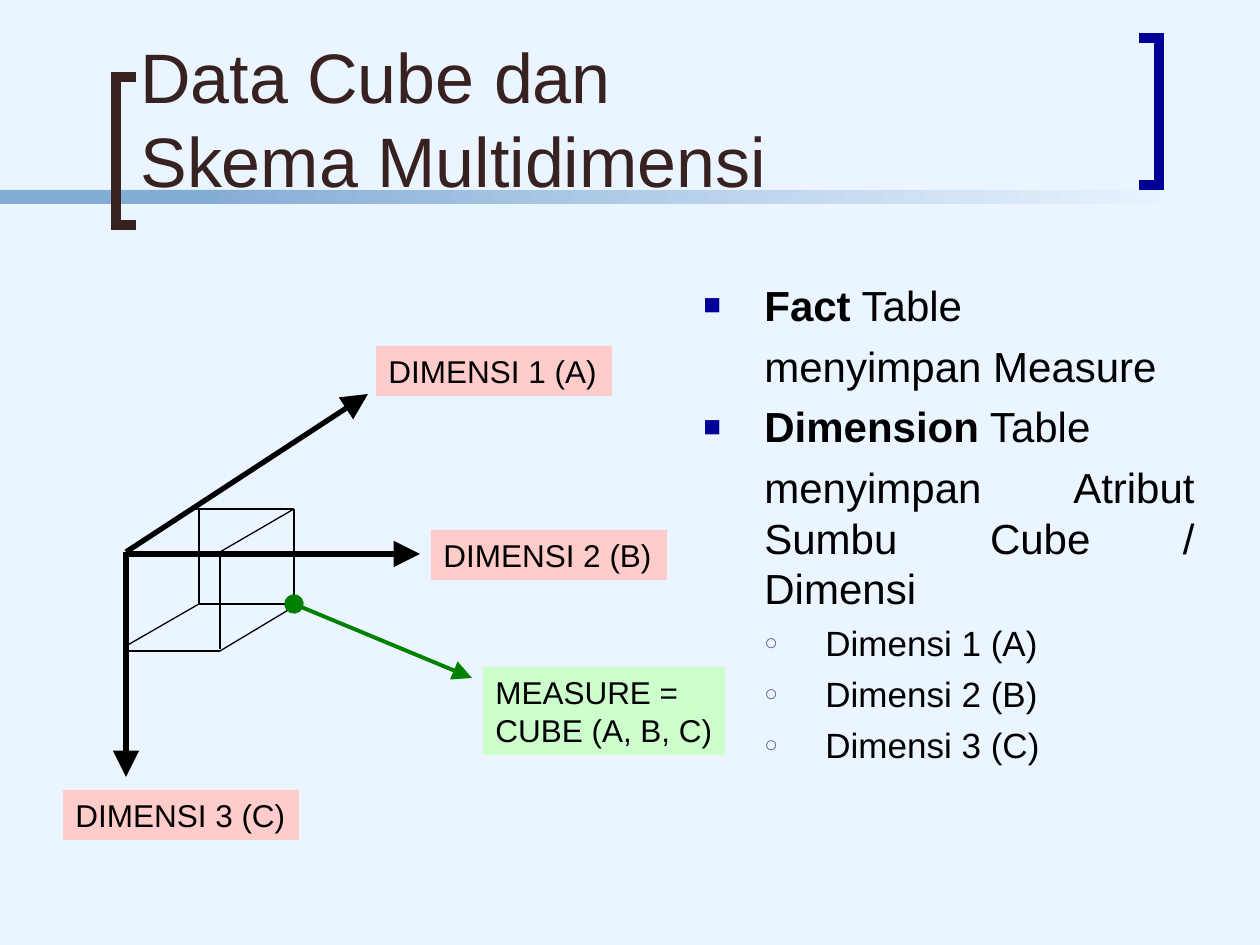
import pptx
import pptx.util
import pptx.dml.color
import pptx.enum.shapes
import pptx.enum.text
import pptx.oxml.ns
import lxml.etree

PX = 914400 / 126
INK = {
    "back": "EBF5FF", "bar": "84ADD6", "title": "372221", "navy": "000099",
    "slate": "666699", "black": "000000", "pink": "FFCCCC", "mint": "CCFFCC",
    "green": "008000",
}
ALIGN = pptx.enum.text.PP_ALIGN
RECT = pptx.enum.shapes.MSO_SHAPE.RECTANGLE


def emu(*nums):
    return [pptx.util.Emu(round(n * PX)) for n in nums]


def tint(name):
    return pptx.dml.color.RGBColor.from_string(INK[name])


def apply(item, vals):
    for key, val in vals.items():
        setattr(item, key, val)


def node(root, tag, **vals):
    return lxml.etree.SubElement(root, pptx.oxml.ns.qn("a:" + tag), vals)


class Deck:
    """Hold the style and the current slide, and draw each kind of element."""

    def __init__(self, font):
        self.font = font
        self.show = pptx.Presentation()
        wide, high = emu(1260, 945)
        apply(self.show, {"slide_width": wide, "slide_height": high})
        self.slide = self.show.slides.add_slide(self.show.slide_layouts[6])
        self.shapes = self.slide.shapes
        fill = self.slide.background.fill
        fill.solid()
        fill.fore_color.rgb = tint("back")

    def rect(self, box, ink):
        shape = self.shapes.add_shape(RECT, *emu(*box))
        shape.shadow.inherit = False
        shape.fill.solid()
        shape.fill.fore_color.rgb = tint(ink)
        shape.line.fill.background()
        return shape

    def fade(self, box, first, last):
        fill = self.rect(box, first).fill
        fill.gradient()
        fill.gradient_angle = 180
        for stop, ink in zip(fill.gradient_stops, (first, last)):
            stop.color.rgb = tint(ink)

    def bracket(self, tip, spine, top, base, ink):
        form = self.shapes.build_freeform(tip, top, scale=PX)
        form.add_line_segments([(spine, top), (spine, base), (tip, base)], close=False)
        shape = form.convert_to_shape()
        shape.shadow.inherit = False
        shape.fill.background()
        shape.line.width = pptx.util.Pt(6)
        shape.line.color.rgb = tint(ink)
        node(shape._element.spPr.get_or_add_ln(), "miter", lim="800000")

    def link(self, ends, ink="black", width=0.75, head=None, tail=None):
        kind = pptx.enum.shapes.MSO_CONNECTOR.STRAIGHT
        link = self.shapes.add_connector(kind, *emu(*ends))
        link.line.width = pptx.util.Pt(width)
        link.line.color.rgb = tint(ink)
        props = link._element.spPr
        for tag, cap in (("headEnd", head), ("tailEnd", tail)):
            if cap:
                node(props.get_or_add_ln(), tag, type=cap, w="lg", len="lg")
        node(props, "effectLst")

    def text(self, box, **vals):
        frame = self.shapes.add_textbox(*emu(*box)).text_frame
        apply(frame, {"word_wrap": True, **vals})
        return frame

    def ink(self, para, size, ink="black"):
        for run in para.runs:
            apply(run.font, {"name": self.font, "size": pptx.util.Pt(size)})
            run.font.color.rgb = tint(ink)

    def label(self, box, lines, ink):
        frame = self.rect(box, ink).text_frame
        apply(frame, {
            "word_wrap": False,
            "auto_size": pptx.enum.text.MSO_AUTO_SIZE.SHAPE_TO_FIT_TEXT,
            "vertical_anchor": pptx.enum.text.MSO_ANCHOR.TOP,
        })
        frame.text = "\n".join(lines)
        for para in frame.paragraphs:
            para.alignment = ALIGN.LEFT
            self.ink(para, 18)

    def item(self, para, runs, size, gap, left, mark=None):
        for text, bold in runs:
            run = para.add_run()
            run.text = text
            run.font.bold = bold
        self.ink(para, size)
        apply(para, {"alignment": ALIGN.JUSTIFY, "space_before": pptx.util.Pt(gap)})
        props = para._p.get_or_add_pPr()
        props.set("marL", str(emu(left)[0]))
        props.set("indent", str(emu(-61)[0] if mark else 0))
        if mark:
            sign, ink, part = mark
            node(node(props, "buClr"), "srgbClr", val=INK[ink])
            node(props, "buSzPct", val=str(part * 1000))
            node(props, "buFont", typeface=self.font)
            node(props, "buChar", char=sign)
        else:
            node(props, "buNone")


def main():
    deck = Deck("Arial")
    deck.rect((0, 190, 294, 14), "bar")
    deck.fade((199, 190, 998, 14), "back", "bar")
    deck.bracket(136, 116, 77, 225, "title")
    deck.bracket(1139, 1159, 38, 185, "navy")

    frame = deck.text((128, 13, 987, 195), vertical_anchor=pptx.enum.text.MSO_ANCHOR.BOTTOM)
    title = frame.paragraphs[0]
    title.text = "Data Cube dan \vSkema Multidimensi"
    deck.ink(title, 40, "title")

    square, ring = ("■", "navy", 70), ("○", "slate", 65)
    items = []
    for name, note in (
        ("Fact", "menyimpan Measure"),
        ("Dimension", "menyimpan Atribut Sumbu Cube / Dimensi"),
    ):
        items.append(([(name, True), (" Table", False)], 24, 6, 61, square))
        items.append(([(note, False)], 24, 6, 61))
    for num, key in enumerate("ABC", 1):
        items.append(([(f"Dimensi {num} ({key})", False)], 20, 5, 122, ring))
    body = deck.text((691, 273, 516, 567))
    for num, item in enumerate(items):
        para = body.add_paragraph() if num else body.paragraphs[0]
        deck.item(para, *item)

    for ends in ((126, 552, 368, 394), (126, 554, 420, 554), (126, 552, 126, 777)):
        deck.link(ends, width=3, tail="triangle")
    spots = ((376, 346), (431, 530), (63, 790))
    for num, (key, spot) in enumerate(zip("ABC", spots), 1):
        deck.label((*spot, 236, 50), [f"DIMENSI {num} ({key})"], "pink")

    for edge in (
        (199, 604, 294, 604), (199, 509, 199, 604), (189, 509, 294, 509),
        (294, 509, 220, 552), (294, 509, 294, 604), (126, 646, 199, 604),
        (290, 609, 220, 651), (126, 651, 220, 651), (220, 554, 220, 649),
    ):
        deck.link(edge)
    deck.link((294, 604, 472, 678), "green", 2.25, "oval", "triangle")
    deck.label((483, 667, 242, 88), ["MEASURE =", "CUBE (A, B, C)"], "mint")
    deck.show.save("out.pptx")


if __name__ == "__main__":
    main()
